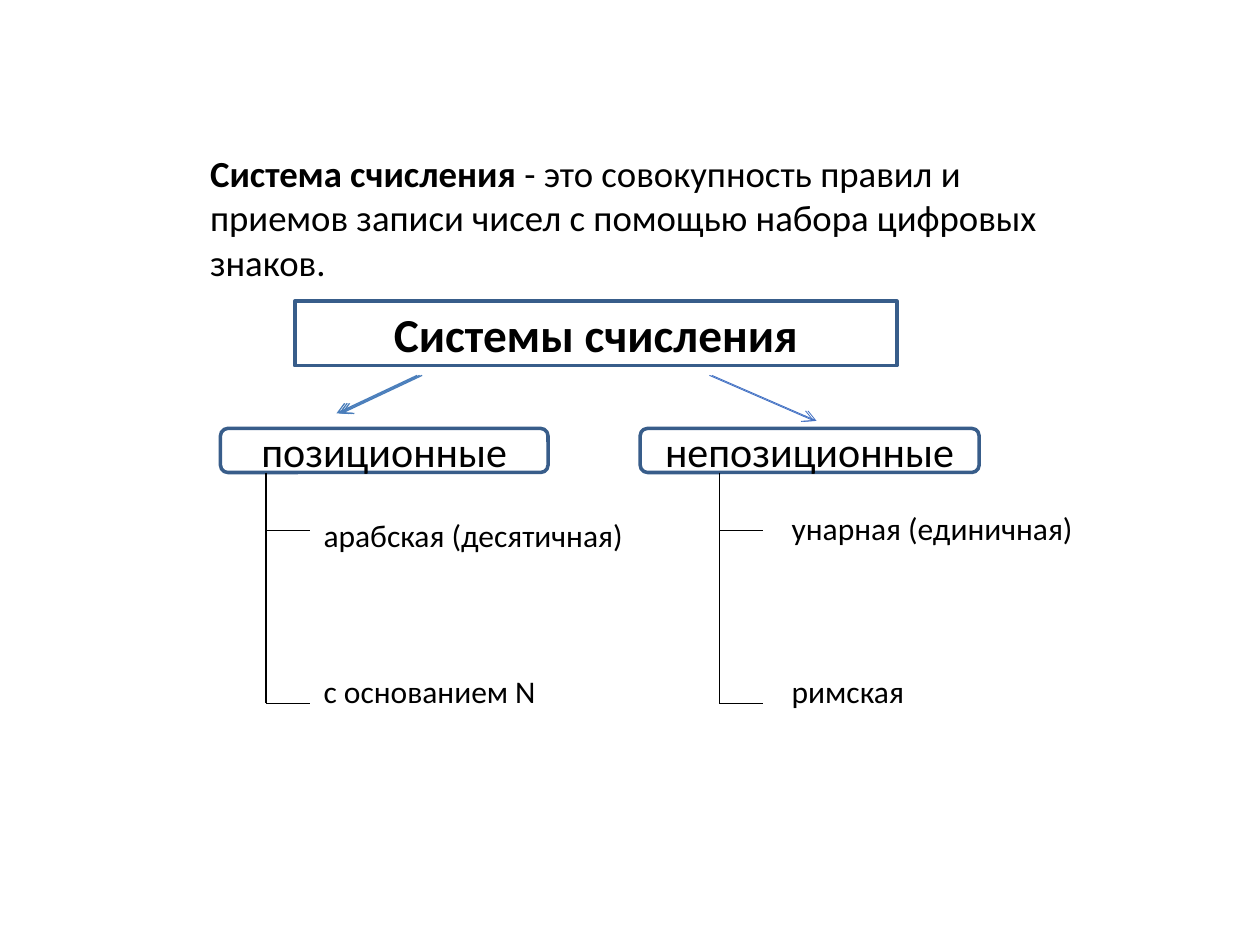
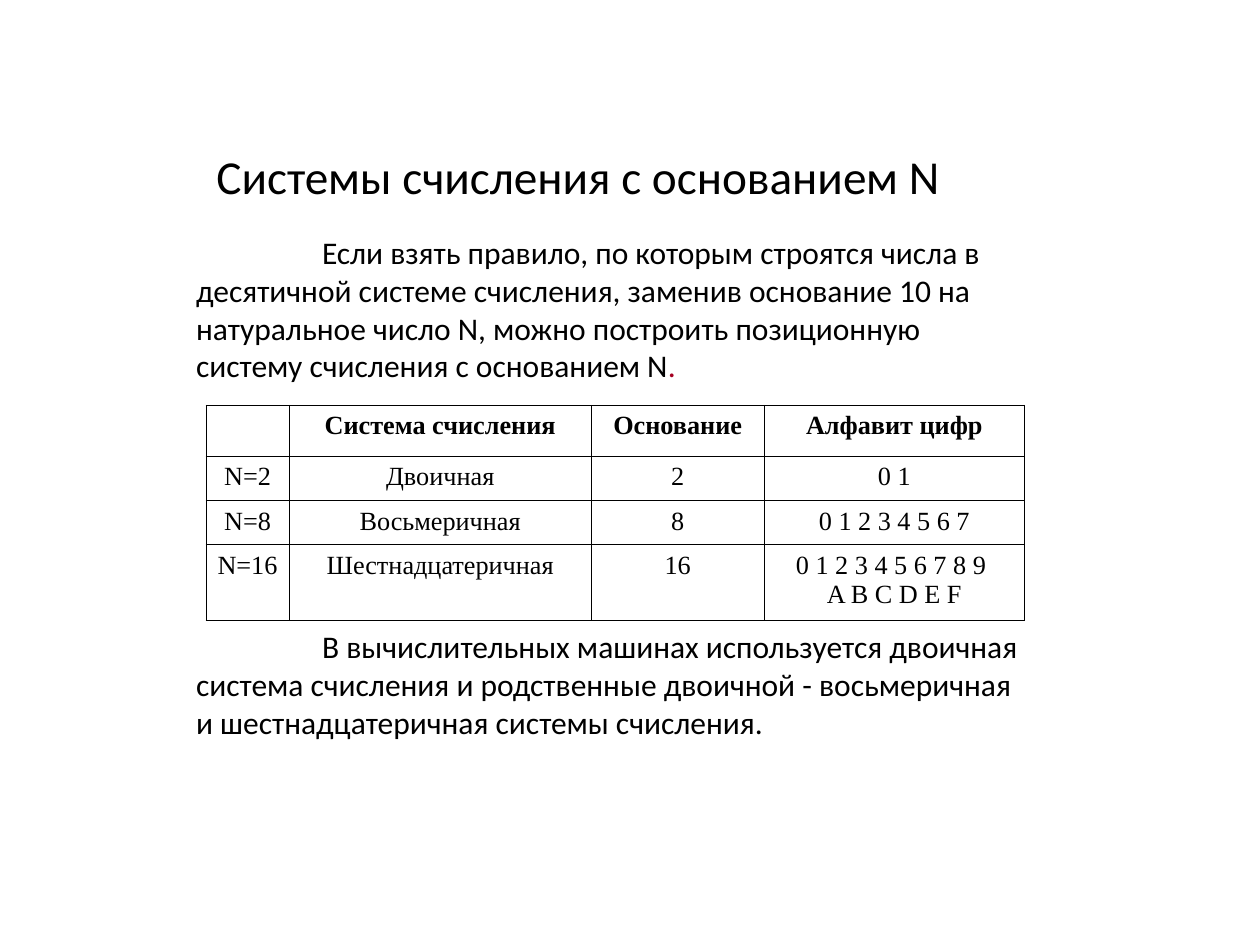
import pptx
import pptx.dml.color
import pptx.enum.shapes
import pptx.enum.text
import pptx.oxml.ns
import pptx.util
from lxml import etree

Pt = pptx.util.Pt
qn = pptx.oxml.ns.qn
MIDDLE = pptx.enum.text.MSO_ANCHOR.MIDDLE
CENTER = pptx.enum.text.PP_ALIGN.CENTER
RECTANGLE = pptx.enum.shapes.MSO_SHAPE.RECTANGLE
ROUNDED = pptx.enum.shapes.MSO_SHAPE.ROUNDED_RECTANGLE

BODY_FONT = "Calibri"
TABLE_FONT = "Times New Roman"
BLACK = "000000"
FRAME_BLUE = "385D8A"
DOT_RED = "A50021"
HEADING_SIZE = 27
BODY_SIZE = 18
TABLE_SIZE = 15

BASES = [
    ["", "Система счисления", "Основание", "Алфавит цифр"],
    ["N=2", "Двоичная", "2", "0 1"],
    ["N=8", "Восьмеричная", "8", "0 1 2 3 4 5 6 7"],
    ["N=16", "Шестнадцатеричная", "16", "0 1 2 3 4 5 6 7 8 9 \nA B C D E F"],
]
COLUMN_WIDTHS = [47.5, 172.8, 98.6, 149]
ROW_HEIGHTS = [29.2, 24, 24.6, 40.4]


def color(hex_string):
    return pptx.dml.color.RGBColor.from_string(hex_string)


def style(font, size, name=BODY_FONT, bold=False, hex_color=BLACK):
    font.size = Pt(size)
    font.name = name
    font.bold = bold
    font.color.rgb = color(hex_color)


def add_text(slide, box, text, size, wrap=True):
    """Add a text box at box (left, top, width, height) and return its text frame."""
    text_frame = slide.shapes.add_textbox(*map(Pt, box)).text_frame
    text_frame.word_wrap = wrap
    text_frame.text = text
    style(text_frame.paragraphs[0].runs[0].font, size)
    return text_frame


def add_body(slide, box, text):
    """Add a text whose first line is indented by an inch."""
    paragraph = add_text(slide, box, text, BODY_SIZE).paragraphs[0]
    paragraph._p.get_or_add_pPr().set("indent", str(Pt(72)))
    return paragraph


def add_frame(slide, preset, box, text, size, bold=False):
    """Add an outlined, unfilled shape with a centred caption."""
    shape = slide.shapes.add_shape(preset, *map(Pt, box))
    shape.shadow.inherit = False
    shape.fill.background()
    shape.line.color.rgb = color(FRAME_BLUE)
    shape.line.width = Pt(2)
    text_frame = shape.text_frame
    text_frame.word_wrap = True
    text_frame.vertical_anchor = MIDDLE
    text_frame.text = text
    paragraph = text_frame.paragraphs[0]
    paragraph.alignment = CENTER
    style(paragraph.runs[0].font, size, bold=bold)


def add_line(slide, start, end, hex_color=BLACK, width=0.75, arrow=False):
    connector = slide.shapes.add_connector(
        pptx.enum.shapes.MSO_CONNECTOR.STRAIGHT, *map(Pt, start + end))
    connector.line.color.rgb = color(hex_color)
    connector.line.width = Pt(width)
    if arrow:
        etree.SubElement(connector.line._get_or_add_ln(), qn("a:tailEnd"), type="arrow")
    etree.SubElement(connector._element.spPr, qn("a:effectLst"))


def add_branches(slide, left):
    """Draw a trunk below a system type with a stub for each example."""
    top, stubs = 270, (303, 402)
    add_line(slide, (left, top), (left, stubs[-1]))
    for level in stubs:
        add_line(slide, (left, level), (left + 25, level))


def set_borders(cell, hex_color, width):
    properties = cell._tc.get_or_add_tcPr()
    for index, side in enumerate(("lnL", "lnR", "lnT", "lnB")):
        line = etree.Element(qn("a:" + side), w=str(Pt(width)))
        fill = etree.SubElement(line, qn("a:solidFill"))
        etree.SubElement(fill, qn("a:srgbClr"), val=hex_color)
        properties.insert(index, line)


def fill_cell(cell, text, bold):
    cell.fill.background()
    set_borders(cell, BLACK, 0.45)
    cell.margin_left = cell.margin_right = Pt(2.2)
    cell.margin_top = cell.margin_bottom = Pt(3.6)
    cell.text_frame.text = text
    for paragraph in cell.text_frame.paragraphs:
        paragraph.alignment = CENTER
        style(paragraph.font, TABLE_SIZE, TABLE_FONT, bold)
        for run in paragraph.runs:
            style(run.font, TABLE_SIZE, TABLE_FONT, bold)


def add_bases_table(slide, left, top):
    table = slide.shapes.add_table(
        len(BASES), len(COLUMN_WIDTHS), Pt(left), Pt(top),
        Pt(sum(COLUMN_WIDTHS)), Pt(sum(ROW_HEIGHTS))).table
    table.first_row = table.horz_banding = False
    for column, width in zip(table.columns, COLUMN_WIDTHS):
        column.width = Pt(width)
    for row, height in zip(table.rows, ROW_HEIGHTS):
        row.height = Pt(height)
    for row_index, texts in enumerate(BASES):
        for column_index, text in enumerate(texts):
            fill_cell(table.cell(row_index, column_index), text, bold=row_index == 0)


def build_classification(slide):
    add_frame(slide, RECTANGLE, (168.5, 172, 344, 37), "Системы счисления",
              HEADING_SIZE, bold=True)
    add_frame(slide, ROUNDED, (126, 244.8, 187.2, 25.2), "позиционные", 24)
    add_frame(slide, ROUNDED, (365.8, 244.8, 193.7, 25.2), "непозиционные", 24)

    definition = add_text(slide, (113, 82.8, 499.7, 82.8), "Система счисления", 21)
    definition.paragraphs[0].runs[0].font.bold = True
    rest = definition.paragraphs[0].add_run()
    rest.text = (" - это совокупность правил и приемов записи чисел "
                 "с помощью набора цифровых знаков.")
    style(rest.font, 21)

    for left, top, width, text in (
            (177.8, 291.6, 185.8, "арабская (десятичная)"),
            (177.8, 380.2, 135.4, "с основанием N"),
            (445.3, 287.3, 175, "унарная (единичная)"),
            (445.3, 380.2, 78.5, "римская")):
        add_text(slide, (left, top, width, 28.8), text, BODY_SIZE, wrap=False)

    for shift in (0, 1.4, 2.8):
        add_line(slide, (241.2 - shift, 214.5), (195.1 - shift, 236.2),
                 "4A7EBB", 0.75, arrow=True)
    for shift in (0, 1.4):
        add_line(slide, (406.8 - shift, 214.5), (466.6 - shift, 240.5),
                 "4472C4", 0.5, arrow=True)
    for left in (152, 411):
        add_branches(slide, left)


def build_base_n(slide):
    title = add_text(slide, (116.6, 83.5, 486, 37.4),
                     "Системы счисления с основанием N", HEADING_SIZE)
    title.vertical_anchor = MIDDLE
    title.paragraphs[0].line_spacing = 0.9

    rule = add_body(slide, (105, 129.6, 477.4, 93.6),
                    "Если взять правило, по которым строятся числа в десятичной системе "
                    "счисления, заменив основание 10 на натуральное число N, можно "
                    "построить позиционную систему счисления с основанием N")
    dot = rule.add_run()
    dot.text = "."
    style(dot.font, BODY_SIZE, hex_color=DOT_RED)

    add_bases_table(slide, 117.7, 231.6)
    add_body(slide, (105, 355, 484.6, 72),
             "В вычислительных машинах используется двоичная система счисления "
             "и родственные двоичной - восьмеричная и шестнадцатеричная "
             "системы счисления.")


def main():
    presentation = pptx.Presentation()
    presentation.slide_width = Pt(720)
    presentation.slide_height = Pt(540)
    blank = presentation.slide_layouts[6]
    for build in (build_classification, build_base_n):
        build(presentation.slides.add_slide(blank))
    presentation.save("out.pptx")


if __name__ == "__main__":
    main()
